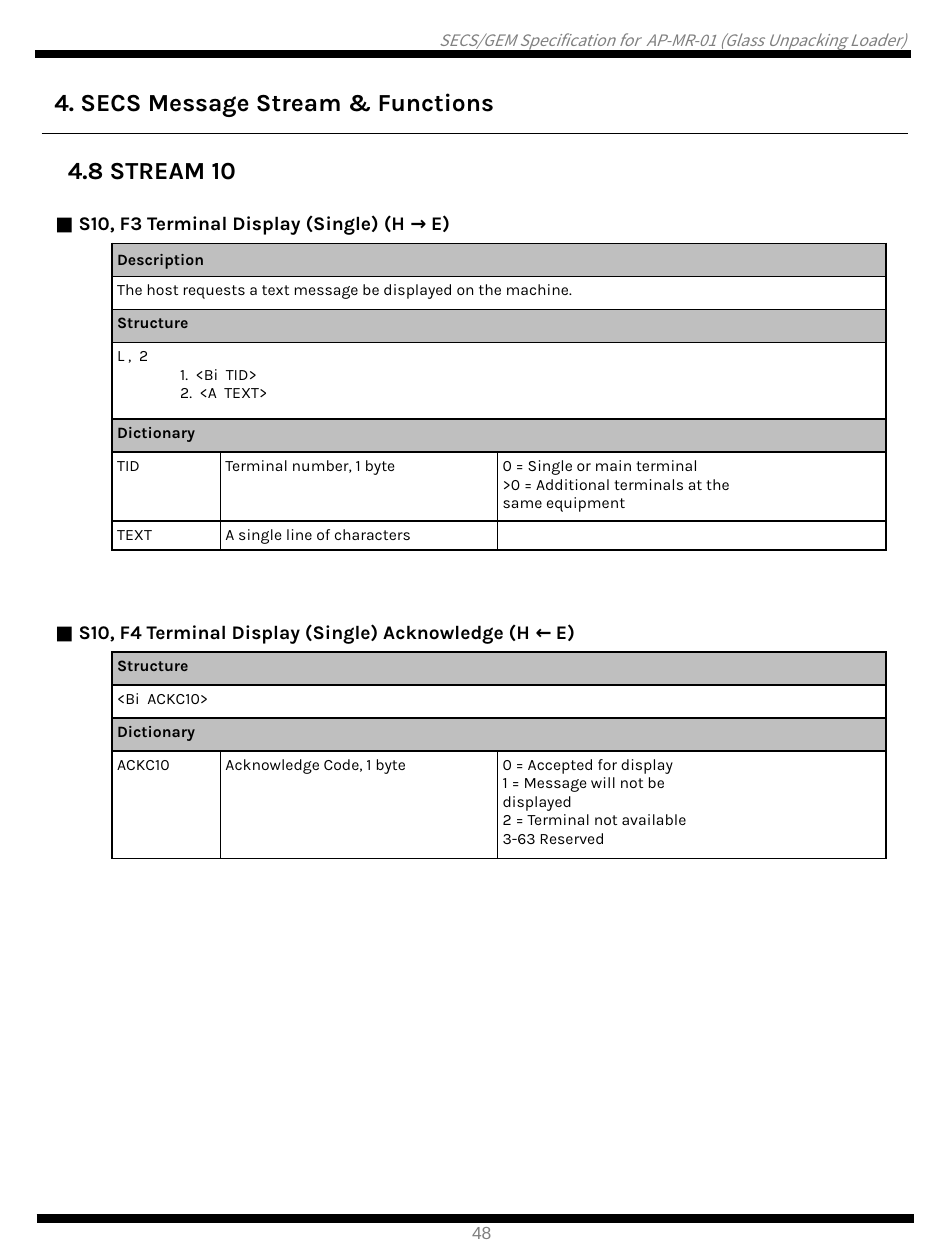
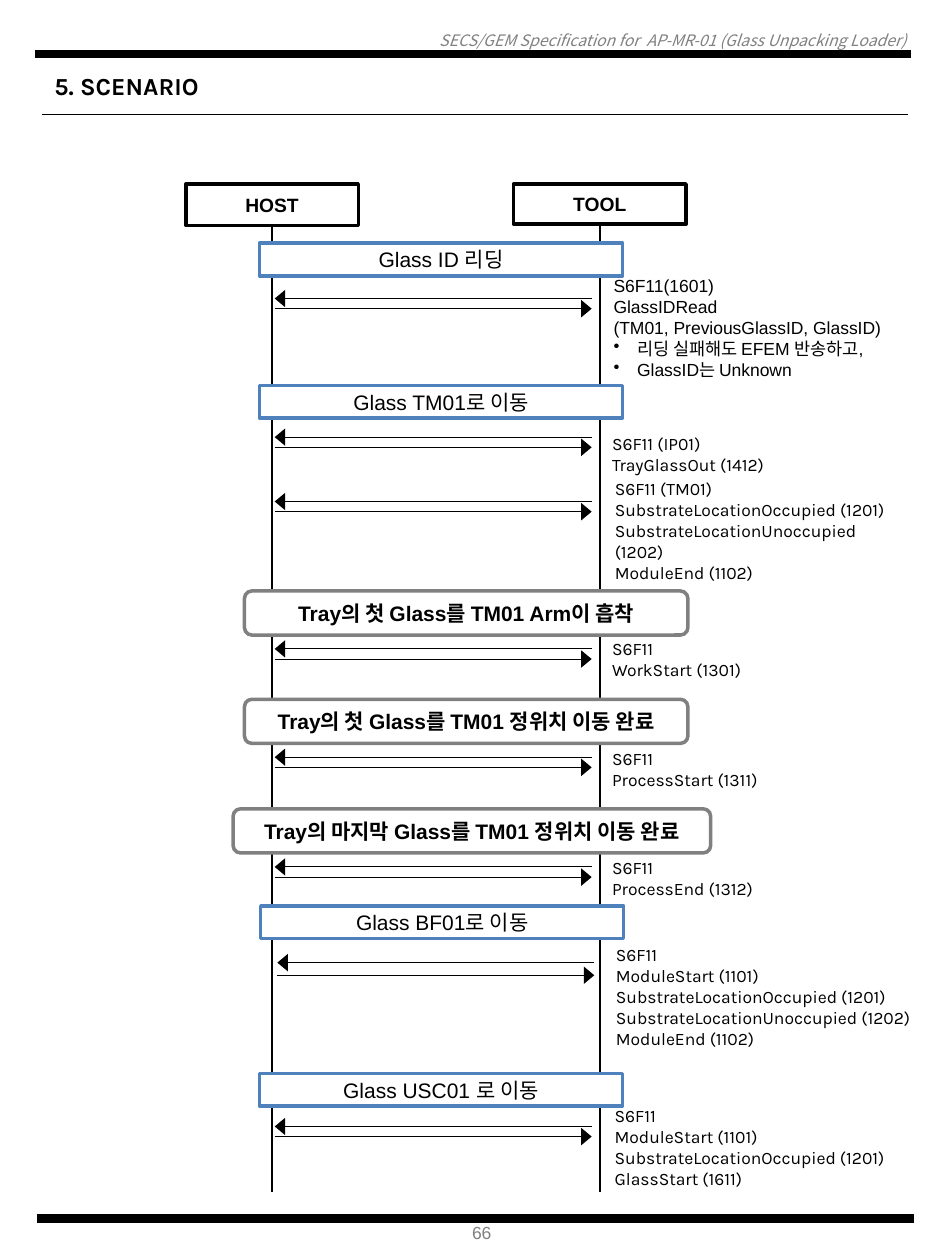
from dataclasses import dataclass

from lxml.etree import SubElement
from pptx import Presentation
from pptx.dml.color import RGBColor
from pptx.enum.shapes import MSO_CONNECTOR as Connector, MSO_SHAPE as Preset
from pptx.enum.text import MSO_ANCHOR as Anchor, MSO_AUTO_SIZE as AutoSize, PP_ALIGN as Align
from pptx.oxml.ns import qn
from pptx.util import Pt

BLACK = RGBColor(0x00, 0x00, 0x00)
WHITE = RGBColor(0xFF, 0xFF, 0xFF)
GREY = RGBColor(0x80, 0x80, 0x80)
BAND_GREY = RGBColor(0xBF, 0xBF, 0xBF)
BLUE = RGBColor(0x4F, 0x81, 0xBD)

KARLA, ARIAL, NOTO = "Karla", "Arial", "Noto Sans CJK KR"
HEADING = {"name": KARLA, "size": Pt(14), "bold": True}
TABLE_HEADING = {"name": KARLA, "size": Pt(11), "bold": True}
CELL = {"name": KARLA, "size": Pt(9), "bold": False}
BAND = {**CELL, "bold": True}
NOTE = {"name": KARLA, "size": Pt(10)}
PLAIN_NOTE = {"name": ARIAL, "size": Pt(10)}
ACTOR = {"name": ARIAL, "size": Pt(11), "bold": True}
MOVE = {"name": ARIAL, "size": Pt(12)}
STATE = {**MOVE, "bold": True}
RUNNING_HEAD = {"name": NOTO, "size": Pt(9), "italic": True}
PAGE_NUMBER = {"name": ARIAL, "size": Pt(10)}

COLUMN_WIDTHS = (35.3, 61.9, 158.4, 221.8)
BAND_LABELS = ("Description", "Structure", "Dictionary")
BULLET = "• "
HOST_X, TOOL_X = 155.5, 342.8

DISPLAY_ROWS = [
    (21.6, ["■ S10, F3 Terminal Display (Single) (H → E)"]),
    (18.9, ["Description"]),
    (18.9, ["The host requests a text message be displayed on the machine."]),
    (18.9, ["Structure"]),
    (43.9, ["L ,  2\n\t1.  <Bi  TID>\n\t2.  <A  TEXT>"]),
    (18.9, ["Dictionary"]),
    (39.2, ["TID", "Terminal number, 1 byte",
            "0 = Single or main terminal\n>0 = Additional terminals at the\nsame equipment"]),
    (16.8, ["TEXT", "A single line of characters", ""]),
]
ACKNOWLEDGE_ROWS = [
    (21.6, ["■ S10, F4 Terminal Display (Single) Acknowledge (H ← E)"]),
    (18.9, ["Structure"]),
    (18.9, ["<Bi  ACKC10>"]),
    (18.9, ["Dictionary"]),
    (61.5, ["ACKC10", "Acknowledge Code, 1 byte",
            "0 = Accepted for display\n1 = Message will not be\ndisplayed\n"
            "2 = Terminal not available\n3-63 Reserved"]),
]


@dataclass
class Step:
    """One exchange: an optional bar, an arrow pair and a note."""
    note: str
    note_box: tuple
    arrow_top: float
    bar: str = ""
    bar_box: tuple = ()
    is_state: bool = False
    note_style: dict = None
    arrow_left: float = 157
    arrow_gap: float = 5.8


STEPS = [
    Step("S6F11(1601)\nGlassIDRead\n(TM01, PreviousGlassID, GlassID)\n"
         "• 리딩 실패해도 EFEM 반송하고,\n• GlassID는 Unknown",
         (343.5, 153.2, 181.4, 67.8), 170.6, "Glass ID 리딩",
         (148.3, 139, 207.4, 18.7), note_style=PLAIN_NOTE),
    Step("S6F11 (IP01)\nTrayGlassOut (1412)", (342.7, 243.4, 151.2, 31.7), 249.8,
         "Glass TM01로 이동", (148.3, 220.3, 207.4, 18.7)),
    Step("S6F11 (TM01)\nSubstrateLocationOccupied (1201)\n"
         "SubstrateLocationUnoccupied (1202)\nModuleEnd (1102)",
         (344.2, 269.3, 181.4, 67.7), 286.6),
    Step("S6F11\nWorkStart (1301)", (342.7, 360.7, 131.8, 31.7), 370.8,
         "Tray의 첫 Glass를 TM01 Arm이 흡착", (139.7, 337.7, 253.4, 25.2), True),
    Step("S6F11\nProcessStart (1311)", (342.7, 423.4, 131.8, 31.7), 432.7,
         "Tray의 첫 Glass를 TM01 정위치 이동 완료", (139.7, 399.6, 253.4, 25.2), True),
    Step("S6F11\nProcessEnd (1312)", (342.7, 486, 131.8, 31.7), 495.4,
         "Tray의 마지막 Glass를 TM01 정위치 이동 완료", (133.2, 462.2, 272.9, 25.2), True),
    Step("S6F11\nModuleStart (1101)\nSubstrateLocationOccupied (1201)\n"
         "SubstrateLocationUnoccupied (1202)\nModuleEnd (1102)",
         (344.9, 535.7, 185.8, 67.7), 550.1, "Glass BF01로 이동",
         (149, 517.7, 207.4, 18.7), arrow_left=158.5, arrow_gap=7.2),
    Step("S6F11\nModuleStart (1101) SubstrateLocationOccupied (1201)\nGlassStart (1611)",
         (344.2, 627.8, 169.9, 55.4), 643.7, "Glass USC01 로 이동",
         (148.3, 613.4, 207.4, 18.7)),
]


def points(box):
    """Turn numbers into lengths in points."""
    return [Pt(value) for value in box]


def add_bullet(paragraph):
    """Give a paragraph a hanging bullet."""
    properties = paragraph._p.get_or_add_pPr()
    properties.set("marL", str(Pt(13.5)))
    properties.set("indent", str(-Pt(13.5)))
    SubElement(properties, qn("a:buChar"), char=BULLET.strip())


def write(frame, text, style, color=BLACK, align=Align.LEFT):
    """Fill a text frame, one paragraph for each line of text."""
    for index, line in enumerate(text.split("\n")):
        paragraph = frame.add_paragraph() if index else frame.paragraphs[0]
        paragraph.alignment = align
        if not line:
            paragraph._p.get_or_add_endParaRPr().set("sz", str(int(style["size"].pt * 100)))
            continue
        if line.startswith(BULLET):
            add_bullet(paragraph)
        run = paragraph.add_run()
        run.text = line.removeprefix(BULLET)
        for name, value in style.items():
            setattr(run.font, name, value)
        run.font.color.rgb = color
        SubElement(run.font._element, qn("a:ea"), typeface=NOTO)


def set_frame(frame, anchor=Anchor.TOP, wrap=True, inset=None):
    """Set anchor, wrapping and, where given, equal insets."""
    frame.auto_size = AutoSize.NONE
    frame.vertical_anchor = anchor
    frame.word_wrap = wrap
    if inset is not None:
        for side in ("left", "top", "right", "bottom"):
            setattr(frame, f"margin_{side}", Pt(inset))


def add_text(slide, box, text, style, color=BLACK, align=Align.LEFT, **frame_format):
    """Add a text box."""
    frame = slide.shapes.add_textbox(*points(box)).text_frame
    set_frame(frame, **frame_format)
    write(frame, text, style, color, align)


def add_bar(slide, box, text, style, line_color, preset=Preset.RECTANGLE, inset=None):
    """Add a white outlined shape with centred text."""
    shape = slide.shapes.add_shape(preset, *points(box))
    shape.shadow.inherit = False
    shape.fill.solid()
    shape.fill.fore_color.rgb = WHITE
    shape.line.color.rgb = line_color
    shape.line.width = Pt(2)
    set_frame(shape.text_frame, Anchor.MIDDLE, inset=inset)
    write(shape.text_frame, text, style, align=Align.CENTER)
    return shape


def add_line(slide, start, end, width, arrow_end=None):
    """Add a black straight line, with a triangle at headEnd or tailEnd."""
    line = slide.shapes.add_connector(Connector.STRAIGHT, *points(start + end))
    line.line.color.rgb = BLACK
    line.line.width = Pt(width)
    if arrow_end:
        SubElement(line.line._get_or_add_ln(), qn(f"a:{arrow_end}"),
                   type="triangle", w="lg", len="med")
    SubElement(line._element.spPr, qn("a:effectLst"))
    return line


def add_page(presentation, title, title_box, rule_y, number):
    """Add a slide with running head, bars, title, rule and page number."""
    slide = presentation.slides.add_slide(presentation.slide_layouts[5])
    add_text(slide, (3.6, 17.3, 514.1, 10.8),
             "SECS/GEM Specification for  AP-MR-01 (Glass Unpacking Loader)",
             RUNNING_HEAD, GREY, Align.RIGHT, inset=0)
    add_line(slide, (20.2, 31), (520.6, 31), 4.75)
    add_line(slide, (21, 696.3), (522, 696.3), 4.75)
    add_text(slide, (262, 694.8, 26.6, 19.4), number, PAGE_NUMBER, GREY,
             Align.CENTER, wrap=False)
    heading = slide.shapes.title
    heading.left, heading.top, heading.width, heading.height = points(title_box)
    set_frame(heading.text_frame, wrap=False)
    write(heading.text_frame, title, HEADING)
    add_line(slide, (23.8, rule_y), (519.1, rule_y), 0.75)
    return slide


def set_borders(cell, row, column):
    """Draw black borders, white around the heading row and the margin column."""
    properties = cell._tc.get_or_add_tcPr()
    for side in "LRTB":
        is_white = row == 0 or (column == 0 and side != "R")
        line = SubElement(properties, qn(f"a:ln{side}"), w=str(Pt(0.75 if is_white else 1)))
        fill = SubElement(line, qn("a:solidFill"))
        SubElement(fill, qn("a:srgbClr"), val=str(WHITE if is_white else BLACK))


def format_cell(cell, row, column, text):
    """Set borders, fill, insets and text of one cell."""
    set_borders(cell, row, column)
    is_band = text in BAND_LABELS
    if is_band:
        cell.fill.solid()
        cell.fill.fore_color.rgb = BAND_GREY
    else:
        cell.fill.background()
    for side in ("left", "top", "right", "bottom"):
        setattr(cell, f"margin_{side}", Pt(2.88))
    is_middle = row == 0 or text == "Description"
    cell.vertical_anchor = Anchor.MIDDLE if is_middle else Anchor.TOP
    write(cell.text_frame, text, TABLE_HEADING if row == 0 else BAND if is_band else CELL)


def add_message_table(slide, left, top, rows):
    """Add a message table; rows with one text span the columns."""
    size = (sum(COLUMN_WIDTHS), sum(height for height, _ in rows))
    table = slide.shapes.add_table(len(rows), len(COLUMN_WIDTHS),
                                   *points((left, top) + size)).table
    table.first_row = table.horz_banding = False
    for column, width in zip(table.columns, COLUMN_WIDTHS):
        column.width = Pt(width)
    for row, (height, texts) in enumerate(rows):
        table.rows[row].height = Pt(height)
        first = 1 if row else 0
        padded = [""] * first + texts + [""] * (len(COLUMN_WIDTHS) - first - len(texts))
        for column, text in enumerate(padded):
            format_cell(table.cell(row, column), row, column, text)
        if len(texts) == 1:
            table.cell(row, first).merge(table.cell(row, len(COLUMN_WIDTHS) - 1))
    dictionary = [texts[0] for _, texts in rows].index("Dictionary")
    table.cell(dictionary, 0).merge(table.cell(len(rows) - 1, 0))


def add_actor(slide, name, center, height):
    """Add an actor box and its lifeline."""
    box = (center - 49.3, 105.1, 98.6, height)
    actor = add_bar(slide, box, name, ACTOR, BLACK)
    lifeline = add_line(slide, (center, 105.1 + height), (center, 681.1), 0.75)
    lifeline.begin_connect(actor, 2)


def add_step(slide, step):
    """Add the bar, arrow pair and note of one step."""
    left, right = step.arrow_left, step.arrow_left + 181.1
    for offset, arrow_end in ((0, "headEnd"), (step.arrow_gap, "tailEnd")):
        y = step.arrow_top + offset
        add_line(slide, (left, y), (right, y), 0.5, arrow_end)
    add_text(slide, step.note_box, step.note, step.note_style or NOTE, anchor=Anchor.MIDDLE)
    if step.is_state:
        add_bar(slide, step.bar_box, step.bar, STATE, GREY, Preset.ROUNDED_RECTANGLE)
    elif step.bar:
        add_bar(slide, step.bar_box, step.bar, MOVE, BLUE, inset=0)


def build_messages(presentation):
    """Build the slide with the two message tables."""
    slide = add_page(presentation, "4. SECS Message Stream & Functions",
                     (23.8, 46.1, 277.9, 24.5), 76.3, "48")
    add_text(slide, (31.7, 85, 122.4, 24.5), "4.8 STREAM 10", HEADING, wrap=False)
    add_message_table(slide, 28.8, 117.4, DISPLAY_ROWS)
    add_message_table(slide, 28.8, 350.9, ACKNOWLEDGE_ROWS)


def build_scenario(presentation):
    """Build the slide with the host and tool sequence."""
    slide = add_page(presentation, "5. SCENARIO", (23.8, 36.7, 108, 24.5), 65.3, "66")
    add_actor(slide, "HOST", HOST_X, 23.8)
    add_actor(slide, "TOOL", TOOL_X, 23)
    for step in STEPS:
        add_step(slide, step)


def main():
    """Build and save the presentation."""
    presentation = Presentation()
    presentation.slide_width, presentation.slide_height = Pt(540), Pt(720)
    build_messages(presentation)
    build_scenario(presentation)
    presentation.save("out.pptx")


if __name__ == "__main__":
    main()
